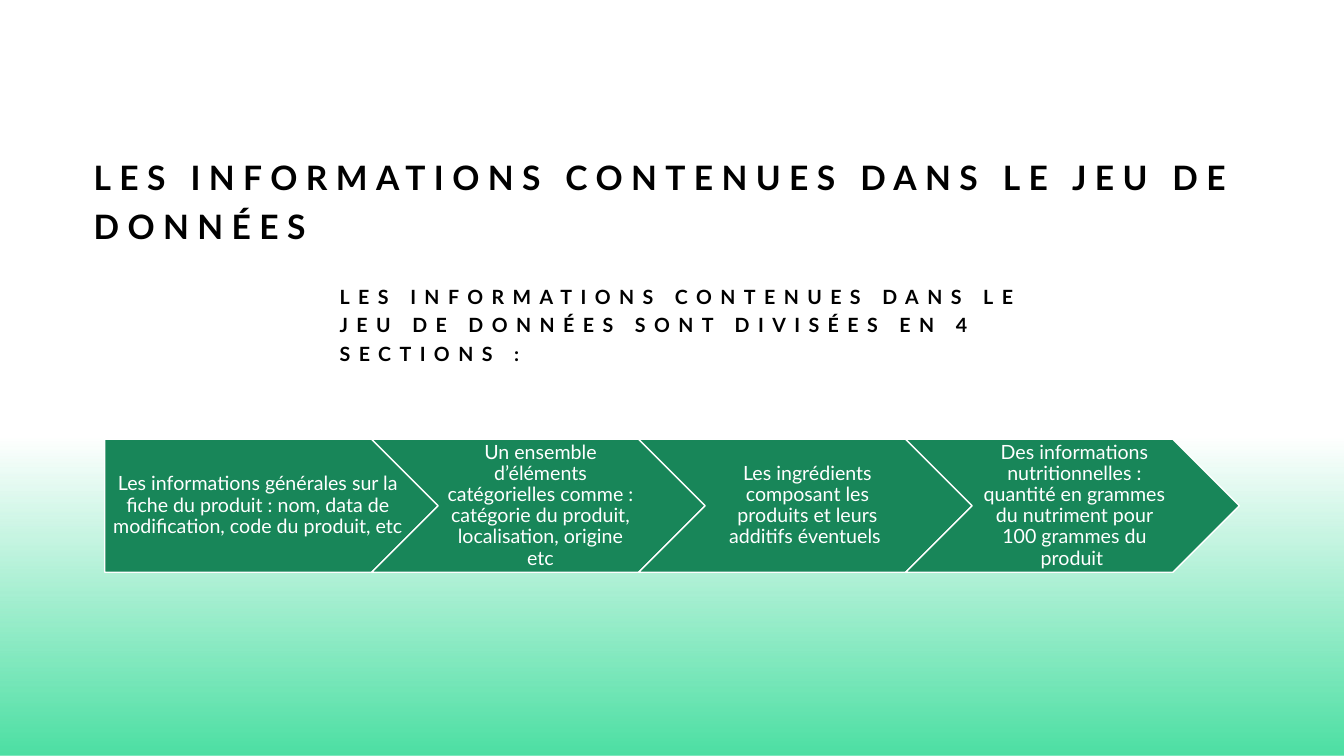
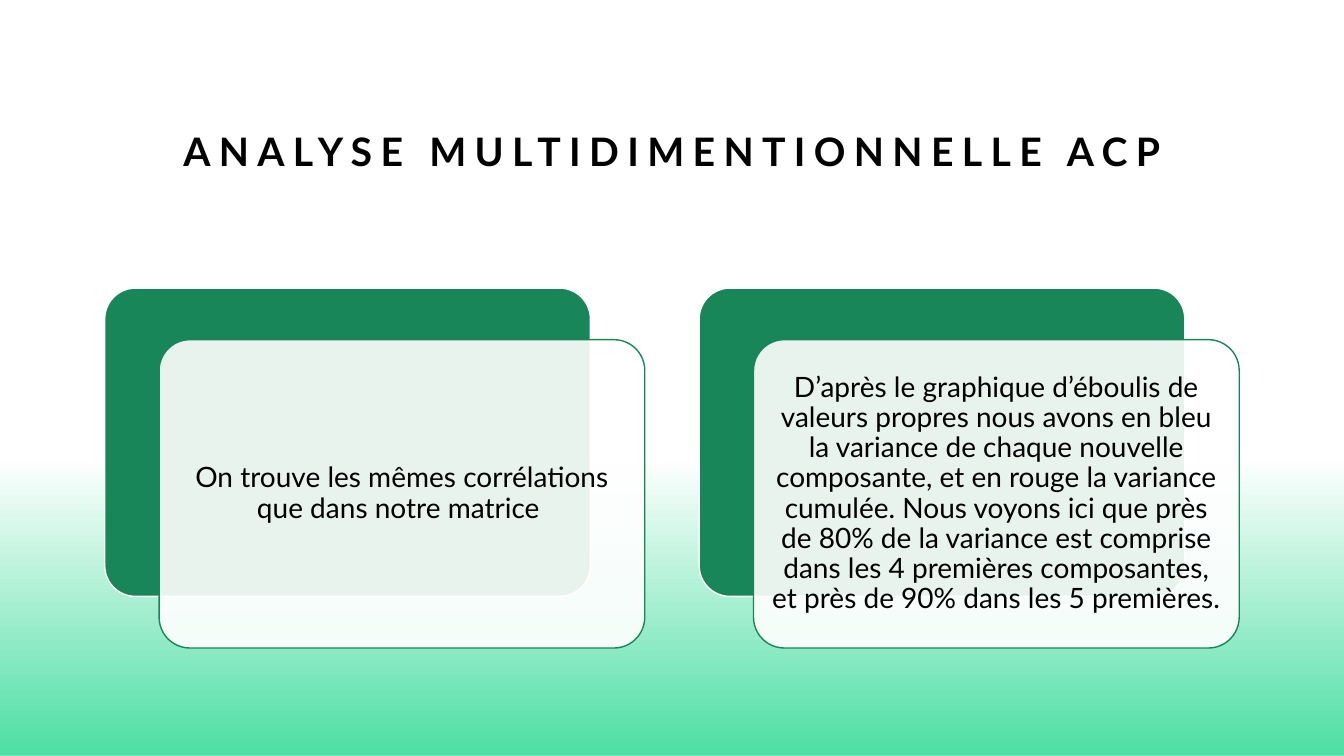
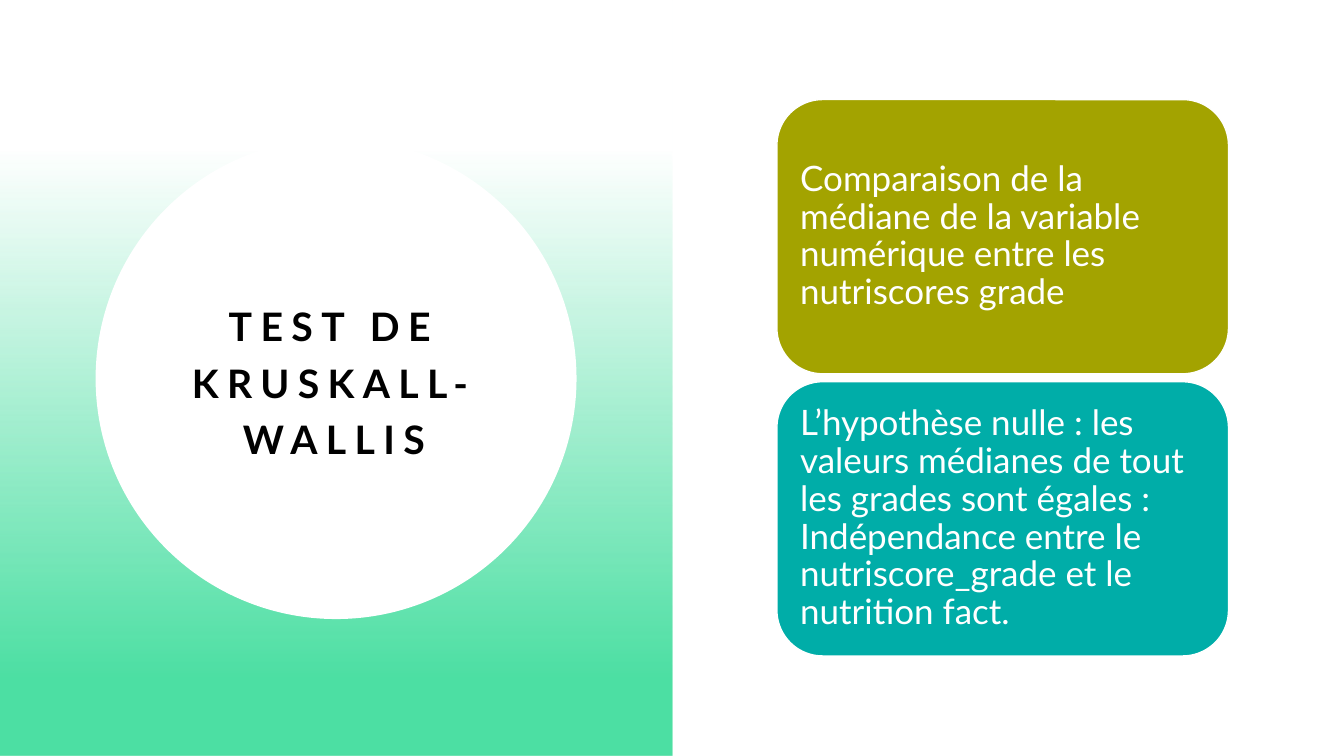
from lxml import etree
from pptx import Presentation
from pptx.dml.color import RGBColor
from pptx.enum.shapes import MSO_SHAPE
from pptx.enum.text import MSO_ANCHOR, PP_ALIGN
from pptx.oxml.ns import qn
from pptx.util import Cm, Pt

RECT, OVAL, ROUNDED = MSO_SHAPE.RECTANGLE, MSO_SHAPE.OVAL, MSO_SHAPE.ROUNDED_RECTANGLE
PENTAGON, CHEVRON = MSO_SHAPE.PENTAGON, MSO_SHAPE.CHEVRON
LEFT, CENTER = PP_ALIGN.LEFT, PP_ALIGN.CENTER
MIDDLE, BOTTOM = MSO_ANCHOR.MIDDLE, MSO_ANCHOR.BOTTOM

FONT = "Lato"
COLORS = {"white": "FFFFFF", "black": "000000", "mint": "4CDFA3",
          "green": "188659", "olive": "A3A300", "teal": "00ADA8"}
SLIDE_W, SLIDE_H = 33.87, 19.05
MARGIN = 2.64

DATASET_TITLE = "LES INFORMATIONS CONTENUES DANS LE JEU DE DONNÉES"
DATASET_INTRO = "LES INFORMATIONS CONTENUES DANS LE JEU DE DONNÉES SONT DIVISÉES EN 4 SECTIONS :"
SECTIONS = [
    "Les informations générales sur la fiche du produit : nom, data de modification, code du produit, etc ",
    "Un ensemble d’éléments catégorielles comme : catégorie du produit, localisation, origine etc",
    "Les ingrédients composant les produits et leurs additifs éventuels ",
    "Des informations nutritionnelles : quantité en grammes du nutriment pour 100 grammes du produit ",
]

PCA_TITLE = "ANALYSE MULTIDIMENTIONNELLE ACP"
PCA_CARDS = [
    "On trouve les mêmes corrélations que dans notre matrice ",
    "D’après le graphique d’éboulis de valeurs propres nous avons en bleu la variance de chaque "
    "nouvelle composante, et en rouge la variance cumulée. Nous voyons ici que près de 80% de la "
    "variance est comprise dans les 4 premières composantes, et près de 90% dans les 5 premières.",
]

TEST_TITLE = "TEST DE KRUSKALL-WALLIS"
TEST_BOXES = [
    ("olive", "Comparaison de la médiane de la variable numérique entre les nutriscores grade"),
    ("teal", "L’hypothèse nulle : les valeurs médianes de tout les grades sont égales : "
             "Indépendance entre le nutriscore_grade et le nutrition fact."),
]


def rgb(name):
    return RGBColor.from_string(COLORS[name])


def set_alpha(color_parent, percent):
    for clr in color_parent.iter(qn("a:srgbClr")):
        etree.SubElement(clr, qn("a:alpha")).set("val", str(percent * 1000))


def write(sp, text, size, color="white", bold=False, align=CENTER, anchor=MIDDLE,
          spacing=0.9, tracking=0, insets=(0.25, 0.13, 0.25, 0.13)):
    tf = sp.text_frame
    tf.word_wrap = True
    tf.vertical_anchor = anchor
    tf.margin_left, tf.margin_top, tf.margin_right, tf.margin_bottom = map(Cm, insets)
    p = tf.paragraphs[0]
    p.alignment, p.line_spacing = align, spacing
    r = p.add_run()
    r.text = text
    r.font.name, r.font.size, r.font.bold = FONT, Pt(size), bold
    r.font.color.rgb = rgb(color)
    if tracking:
        r._r.get_or_add_rPr().set("spc", str(tracking * 100))


def add_heading(s, box, text, size, **fmt):
    """Bold, widely tracked capitals, as in every title."""
    sp = s.shapes.add_textbox(*map(Cm, box))
    write(sp, text, size, color="black", bold=True, spacing=1.2, tracking=6, **fmt)


def add_shape(s, kind, box, fill=None, line=None, corner=None):
    sp = s.shapes.add_shape(kind, *map(Cm, box))
    sp.shadow.inherit = False
    if fill:
        sp.fill.solid()
        sp.fill.fore_color.rgb = rgb(fill)
    if line:
        sp.line.color.rgb = rgb(line)
        sp.line.width = Pt(1)
    else:
        sp.line.fill.background()
    if corner:
        sp.adjustments[0] = corner
    return sp


def add_fade(s, box, start=0.14, end=1.0):
    """Mint rectangle that fades out towards its top."""
    sp = add_shape(s, RECT, box)
    sp.fill.gradient()
    sp.fill.gradient_angle = 270
    stops = sp.fill.gradient_stops
    for stop, position in zip(stops, (start, end)):
        stop.color.rgb = rgb("mint")
        stop.position = position
    set_alpha(sp._element.spPr.find(qn("a:gradFill")).find(qn("a:gsLst"))[0], 0)


def add_bottom_band(s, top):
    add_fade(s, (0, top, SLIDE_W, SLIDE_H - top))


def dataset_slide(s):
    add_bottom_band(s, 9.75)
    add_heading(s, (2.11, 4.7, 30.23, 1.63), DATASET_TITLE, 24, align=LEFT, anchor=BOTTOM)
    width, height = 8.41, 3.35
    for i, text in enumerate(SECTIONS):
        box = (MARGIN + i * 0.8 * width, 11.07, width, height)
        sp = add_shape(s, CHEVRON if i else PENTAGON, box, "green", "white")
        write(sp, text, 14, insets=(0.15 if i else 0.2, 0.1, 0.05, 0.1))
    add_heading(s, (8.31, 7.32, 17.81, 2.01), DATASET_INTRO, 14, align=LEFT, anchor=BOTTOM)


def pca_slide(s):
    add_heading(s, (4.24, 2.11, 25.4, 2.41), PCA_TITLE, 28, anchor=BOTTOM)
    add_bottom_band(s, 10.39)
    top, width, height = 7.26, 12.24, 7.77
    shift_x, shift_y = 1.37, 1.3
    for i, text in enumerate(PCA_CARDS):
        left = MARGIN + i * (width + 2 * shift_x)
        add_shape(s, ROUNDED, (left, top, width, height), "green", "white", 0.1)
        card = add_shape(s, ROUNDED, (left + shift_x, top + shift_y, width, height),
                         "white", "green", 0.1)
        set_alpha(card._element.spPr.find(qn("a:solidFill")), 90)
        write(card, text, 20, color="black", insets=(0.2,) * 4)


def test_slide(s):
    add_fade(s, (0, 0, SLIDE_W / 2, SLIDE_H), 0.2, 0.9)
    add_shape(s, OVAL, (2.41, 3.48, 12.12, 12.12), "white")
    add_heading(s, (3.35, 6.35, 10.13, 6.35), TEST_TITLE, 28)
    height, gap = 6.91, 0.2
    for i, (fill, text) in enumerate(TEST_BOXES):
        box = (19.58, 2.51 + i * (height + gap), 11.38, height)
        sp = add_shape(s, ROUNDED, box, fill, "white")
        write(sp, text, 25, align=LEFT, insets=(0.25,) * 4)


def main():
    prs = Presentation()
    prs.slide_width, prs.slide_height = Cm(SLIDE_W), Cm(SLIDE_H)
    for build in (dataset_slide, pca_slide, test_slide):
        build(prs.slides.add_slide(prs.slide_layouts[6]))
    prs.save("out.pptx")


if __name__ == "__main__":
    main()
